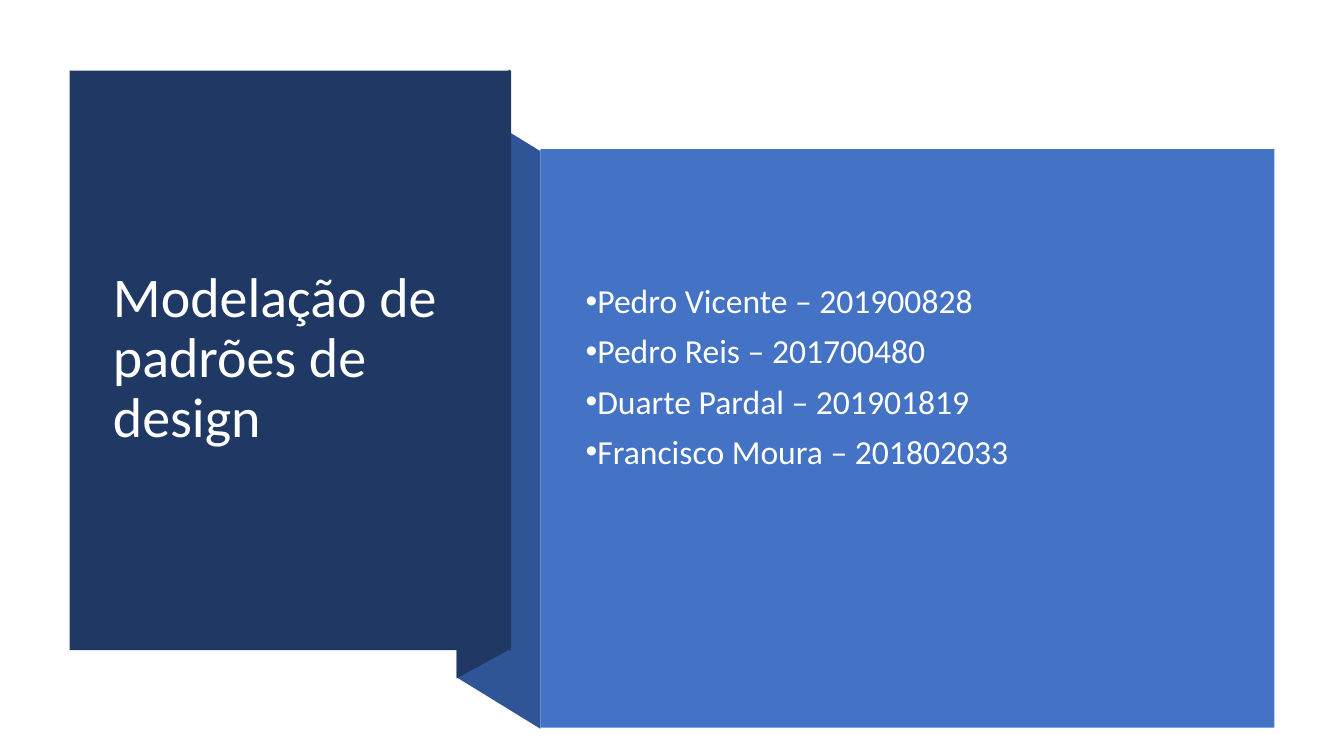
from dataclasses import dataclass

from lxml import etree
from pptx import Presentation
from pptx import util as u
from pptx.dml.color import RGBColor
from pptx.enum import shapes, text
from pptx.oxml import ns


@dataclass(frozen=True)
class Theme:
    """Colours, font and type sizes of the deck."""
    navy: str = "203864"
    fold: str = "2F5597"
    blue: str = "4472C4"
    title_color: str = "FFFFFF"
    body_color: str = "FEFFFF"
    font: str = "Calibri"
    title_size: int = 40
    body_size: int = 24


def apply(obj, fmt):
    """Set each attribute of obj named in the dict fmt."""
    for name, value in fmt.items():
        setattr(obj, name, value)


class Deck:
    """Holds the theme and the current slide and draws on it."""

    def __init__(self, prs, theme):
        """Add a title-only slide to the presentation."""
        self.theme = theme
        self.s = prs.slides.add_slide(prs.slide_layouts[5])

    def paint(self, sp, color):
        """Give a shape a plain fill with no line or shadow."""
        sp.shadow.inherit = False
        sp.fill.solid()
        sp.fill.fore_color.rgb = RGBColor.from_string(color)
        sp.line.fill.background()

    def panel(self, x, y, w, h, color):
        """Draw a filled rectangle."""
        box = map(u.Inches, (x, y, w, h))
        sp = self.s.shapes.add_shape(shapes.MSO_SHAPE.RECTANGLE, *box)
        self.paint(sp, color)

    def polygon(self, points, color):
        """Draw a closed filled outline."""
        start, *rest = [(u.Inches(x), u.Inches(y)) for x, y in points]
        fb = self.s.shapes.build_freeform(*start)
        fb.add_line_segments(rest, close=True)
        self.paint(fb.convert_to_shape(), color)

    def set_text(self, sp, lines, size, color, before=0):
        """Fill a text frame with left-aligned, vertically centred lines."""
        tf = sp.text_frame
        apply(tf, {"word_wrap": True, "auto_size": text.MSO_AUTO_SIZE.NONE,
                   "vertical_anchor": text.MSO_ANCHOR.MIDDLE})
        tf.text = "\n".join(lines)
        for p in tf.paragraphs:
            apply(p, {"alignment": text.PP_ALIGN.LEFT, "line_spacing": 0.9,
                      "space_before": u.Pt(before)})
            for r in p.runs:
                apply(r.font, {"name": self.theme.font, "size": u.Pt(size)})
                r.font.color.rgb = RGBColor.from_string(color)
        return tf

    def title(self, line, x, y, w, h):
        """Place the title placeholder in front and fill it."""
        sp = self.s.shapes.title
        apply(sp, dict(zip(("left", "top", "width", "height"),
                           map(u.Inches, (x, y, w, h)))))
        self.s.shapes._spTree.append(sp._element)
        self.set_text(sp, [line], self.theme.title_size, self.theme.title_color)

    def bullets(self, lines, x, y, w, h):
        """Add a bulleted list."""
        sp = self.s.shapes.add_textbox(*map(u.Inches, (x, y, w, h)))
        tf = self.set_text(sp, lines, self.theme.body_size, self.theme.body_color, 10)
        for p in tf.paragraphs:
            pPr = p._p.get_or_add_pPr()
            pPr.set("marL", "0")
            pPr.set("indent", str(-u.Inches(0.25)))
            etree.SubElement(pPr, ns.qn("a:buFont"), typeface="Arial")
            etree.SubElement(pPr, ns.qn("a:buChar"), char="•")


def main():
    """Build the slide and save it."""
    prs = Presentation()
    apply(prs, {"slide_width": u.Inches(13.33), "slide_height": u.Inches(7.5)})
    theme = Theme()
    deck = Deck(prs, theme)
    deck.polygon([(5.36, 7.23), (4.53, 6.72), (4.53, 0.99), (5.36, 1.5)], theme.fold)
    deck.polygon([(5.06, 6.44), (4.53, 6.73), (4.53, 0.98), (5.06, 0.69)], theme.navy)
    deck.panel(0.69, 0.7, 4.38, 5.75, theme.navy)
    deck.title("Modelação de padrões de design", 1.02, 1.07, 3.71, 4.99)
    deck.panel(5.36, 1.48, 7.28, 5.74, theme.blue)
    deck.bullets(["Pedro Vicente – 201900828", "Pedro Reis – 201700480",
                  "Duarte Pardal – 201901819", "Francisco Moura – 201802033"],
                 5.71, 1.88, 6.51, 3.74)
    prs.save("out.pptx")


if __name__ == "__main__":
    main()
